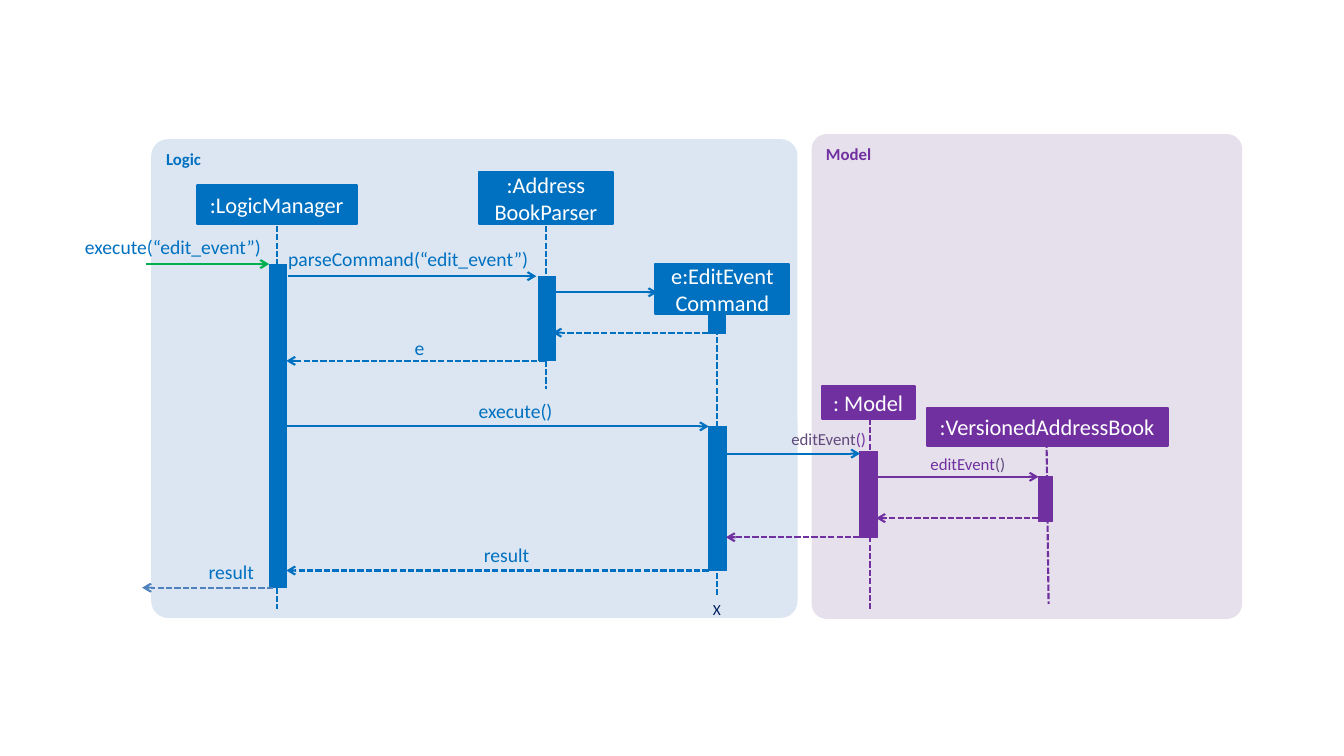
from dataclasses import dataclass

from lxml import etree
from pptx import Presentation
from pptx.dml import color as dml
from pptx.enum import dml as line_styles, shapes, text
from pptx.oxml import ns
from pptx.util import Inches, Pt

BLUE = dml.RGBColor(0x00, 0x70, 0xC0)
STEEL = dml.RGBColor(0x4F, 0x81, 0xBD)
NAVY = dml.RGBColor(0x00, 0x20, 0x60)
GREEN = dml.RGBColor(0x00, 0xB0, 0x50)
PURPLE = dml.RGBColor(0x70, 0x30, 0xA0)
PLUM = dml.RGBColor(0x60, 0x4A, 0x7B)
PALE_BLUE = dml.RGBColor(0xDC, 0xE6, 0xF2)
PALE_PURPLE = dml.RGBColor(0xE6, 0xE0, 0xEC)
WHITE = dml.RGBColor(0xFF, 0xFF, 0xFF)
LEFT, CENTER, RIGHT = text.PP_ALIGN.LEFT, text.PP_ALIGN.CENTER, text.PP_ALIGN.RIGHT


@dataclass
class Box:
    left: float
    top: float
    width: float
    height: float

    def place(self, left, top, width, height):
        return [Inches(v) for v in (self.left + left, self.top + top, width, height)]

    def point(self, x, y):
        return Inches(self.left + x), Inches(self.top + y)


def write(paragraph, words, size, color, align, bold=False):
    paragraph.alignment = align
    run = paragraph.add_run()
    run.text = words
    run.font.name = "Calibri"
    run.font.size = Pt(size)
    run.font.bold = bold
    run.font.color.rgb = color


def clear_margins(frame):
    frame.margin_left = frame.margin_right = frame.margin_top = frame.margin_bottom = 0


def block(slide, box, place, fill, line_width=None, kind=shapes.MSO_SHAPE.RECTANGLE):
    shape = slide.shapes.add_shape(kind, *box.place(*place))
    shape.shadow.inherit = False
    shape.fill.solid()
    shape.fill.fore_color.rgb = fill
    if line_width:
        shape.line.color.rgb = fill
        shape.line.width = Pt(line_width)
    else:
        shape.line.fill.background()
    return shape


def panel(slide, box, title, fill, color):
    shape = block(slide, box, (0, 0, box.width, box.height), fill,
                  kind=shapes.MSO_SHAPE.ROUNDED_RECTANGLE)
    shape.adjustments[0] = 0.035
    shape.text_frame.vertical_anchor = text.MSO_ANCHOR.TOP
    write(shape.text_frame.paragraphs[0], title, 12, color, LEFT, True)


def participant(slide, box, place, rows, color):
    frame = block(slide, box, place, color, 1.5).text_frame
    clear_margins(frame)
    frame.vertical_anchor = text.MSO_ANCHOR.MIDDLE
    for index, row in enumerate(rows):
        paragraph = frame.add_paragraph() if index else frame.paragraphs[0]
        write(paragraph, row, 16, WHITE, CENTER)


def line(slide, box, start, end, color, dashed=False, arrow=False):
    connector = slide.shapes.add_connector(
        shapes.MSO_CONNECTOR.STRAIGHT, *box.point(*start), *box.point(*end))
    connector.line.color.rgb = color
    connector.line.width = Pt(1.5)
    if dashed:
        connector.line.dash_style = line_styles.MSO_LINE.SQUARE_DOT
    if arrow:
        head = etree.SubElement(connector.line._get_or_add_ln(), ns.qn("a:tailEnd"))
        head.set("type", "arrow")
    etree.SubElement(connector._element.spPr, ns.qn("a:effectLst"))


def messages(slide, box, rows):
    for start, end, y, color, is_return in rows:
        line(slide, box, (start, y), (end, y), color, is_return, True)


def label(slide, box, place, parts, size=14, align=RIGHT):
    frame = slide.shapes.add_textbox(*box.place(*place)).text_frame
    frame.word_wrap = True
    clear_margins(frame)
    for words, color in parts:
        write(frame.paragraphs[0], words, size, color, align)


def logic_region(slide, box):
    panel(slide, box, "Logic", PALE_BLUE, BLUE)
    for x, top, bottom in ((1.25, 0.86, 4.66), (3.92, 0.86, 2.48), (5.61, 1.63, 4.52)):
        line(slide, box, (x, top), (x, bottom), BLUE, True)
    for activation in ((1.17, 1.24, 0.17, 3.21), (3.84, 1.36, 0.17, 0.84),
                       (5.53, 1.63, 0.17, 0.3), (5.53, 2.85, 0.18, 1.43)):
        block(slide, box, activation, BLUE, 0.75)
    participant(slide, box, (0.45, 0.46, 1.59, 0.38), [":LogicManager"], BLUE)
    participant(slide, box, (3.25, 0.33, 1.33, 0.51), [":Address", "BookParser"], BLUE)
    participant(slide, box, (5, 1.24, 1.33, 0.5), ["e:EditEvent", "Command"], BLUE)
    messages(slide, box, (
        (-0.05, 1.17, 1.24, GREEN, False),
        (1.36, 3.82, 1.36, BLUE, False),
        (4.01, 5.02, 1.52, BLUE, False),
        (5.61, 3.98, 1.92, BLUE, True),
        (3.91, 1.34, 2.2, BLUE, True),
        (1.34, 5.53, 2.85, BLUE, False),
        (5.53, 1.34, 4.28, BLUE, True),
        (1.21, -0.09, 4.45, STEEL, True),
    ))
    for words, place in (
        ("execute(“edit_event”)", (-1.01, 0.95, 2.1, 0.23)),
        ("parseCommand(“edit_event”)", (1.26, 1.07, 2.48, 0.24)),
        ("e", (2.47, 1.95, 0.24, 0.24)),
        ("execute()", (3.04, 2.58, 0.94, 0.24)),
        ("result", (3.07, 4.01, 0.68, 0.24)),
        ("result", (0.19, 4.18, 0.83, 0.24)),
    ):
        label(slide, box, place, [(words, BLUE)])
    label(slide, box, (5.47, 4.57, 0.28, 0.19), [("X", NAVY)], 11, CENTER)


def model_region(slide, box):
    panel(slide, box, "Model", PALE_PURPLE, PURPLE)
    line(slide, box, (0.58, 2.82), (0.58, 4.71), PURPLE, True)
    line(slide, box, (2.33, 3.05), (2.35, 4.66), PURPLE, True)
    for activation in ((0.47, 3.15, 0.18, 0.85), (2.25, 3.4, 0.14, 0.44)):
        block(slide, box, activation, PURPLE, 0.75)
    participant(slide, box, (0.1, 2.5, 0.92, 0.33), [": Model"], PURPLE)
    participant(slide, box, (1.14, 2.72, 2.39, 0.37), [":VersionedAddressBook"], PURPLE)
    messages(slide, box, (
        (-0.84, 0.48, 3.17, BLUE, False),
        (0.64, 2.25, 3.4, PURPLE, False),
        (2.25, 0.64, 3.81, PURPLE, True),
        (0.56, -0.85, 4, PURPLE, True),
    ))
    label(slide, box, (-0.29, 2.92, 0.83, 0.2), [("editEvent", PLUM), ("()", PURPLE)], 12)
    label(slide, box, (1.11, 3.17, 0.81, 0.2), [("editEvent", PURPLE), ("()", PLUM)], 12)


deck = Presentation()
deck.slide_width, deck.slide_height = Inches(13.33), Inches(7.5)
sequence = deck.slides.add_slide(deck.slide_layouts[6])
logic_region(sequence, Box(1.5, 1.38, 6.41, 4.75))
model_region(sequence, Box(8.05, 1.33, 4.27, 4.81))
deck.save("out.pptx")
